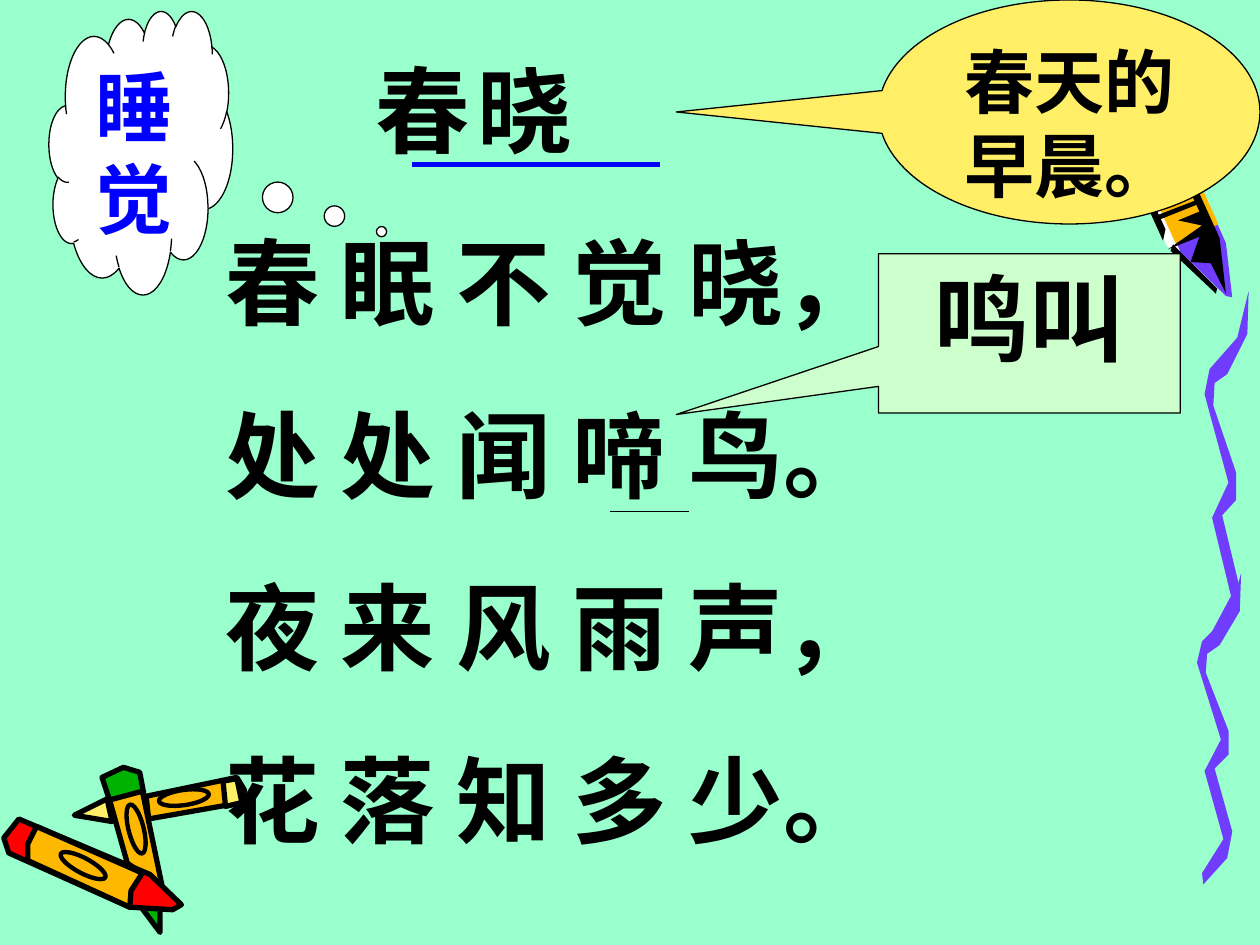
"""Builds a slide of the poem 春晓 with word callouts and crayons."""
from lxml import etree
from pptx import Presentation
from pptx.dml.color import RGBColor
from pptx.enum.shapes import MSO_CONNECTOR, MSO_SHAPE
from pptx.enum.text import MSO_ANCHOR, PP_ALIGN
from pptx.oxml.ns import qn
from pptx.util import Pt

LEFT, CENTER = PP_ALIGN.LEFT, PP_ALIGN.CENTER
TOP = MSO_ANCHOR.TOP
STRAIGHT = MSO_CONNECTOR.STRAIGHT
OVAL = MSO_SHAPE.OVAL
SPEECH = MSO_SHAPE.OVAL_CALLOUT
CLOUD = MSO_SHAPE.CLOUD_CALLOUT
RECT = MSO_SHAPE.RECTANGULAR_CALLOUT

MINT = RGBColor(0x99, 0xFF, 0xCC)
PALE = RGBColor(0xCC, 0xFF, 0xCC)
WHITE = RGBColor(0xFF, 0xFF, 0xFF)
SNOW = RGBColor(0xF8, 0xF8, 0xF8)
BLACK = RGBColor(0, 0, 0)
BLUE = RGBColor(0, 0, 0xFF)
RED = RGBColor(0xFF, 0, 0)
GREEN = RGBColor(0, 0xB2, 0)
GOLD = RGBColor(0xFF, 0xB8, 0)
LEMON = RGBColor(0xFF, 0xEF, 0x66)
PURPLE = RGBColor(0x70, 0x3D, 0xFF)

UNIT = Pt(0.72)


def write(para, text, size=54, color=BLACK, align=LEFT, before=0):
    para.text = text
    para.alignment = align
    para.space_before = Pt(before)
    font = para.font
    font.name, font.size, font.bold = "Arial", Pt(size), True
    font.color.rgb = color


def paint(shape, fill, line=None, width=0.75):
    shape.shadow.inherit = False
    shape.fill.solid()
    shape.fill.fore_color.rgb = fill
    if line is None:
        shape.line.fill.background()
    else:
        shape.line.color.rgb = line
        shape.line.width = Pt(width)


deck = Presentation()
deck.slide_width, deck.slide_height = Pt(720), Pt(540)
slide = deck.slides.add_slide(deck.slide_layouts[6])
fill = slide.background.fill
fill.solid()
fill.fore_color.rgb = MINT
shapes = slide.shapes

wave = [(960, 505), (977, 473), (962, 411), (975, 383), (956, 313),
        (960, 293), (982, 268), (991, 231), (990, 265), (974, 297),
        (964, 304), (963, 322), (981, 375), (981, 397), (970, 409),
        (984, 467), (980, 491), (961, 515)]
lower = [(x - 6, round(455 + (y - 231) * 0.87)) for x, y in wave]

parts = [
    (WHITE, None, [(857, 8), (844, 16), (926, 195), (969, 229), (964, 189)]),
    (PURPLE, None, [(855, 19), (937, 200), (973, 235), (978, 236),
                    (973, 193), (892, 13)]),
    (GOLD, None, [(933, 193), (967, 178), (898, 25), (860, 33)]),
    (GOLD, BLACK, [(116, 632), (118, 650), (192, 637), (194, 627),
                   (188, 617)]),
    (LEMON, BLACK, [(177, 620), (188, 618), (192, 637), (179, 640)]),
    (LEMON, BLACK, [(85, 634), (59, 647), (89, 652)]),
    (GREEN, BLACK, [(112, 720), (127, 740), (127, 719)]),
    (GREEN, BLACK, [(81, 617), (98, 609), (111, 613), (114, 629), (87, 635)]),
    (GOLD, BLACK, [(87, 635), (113, 628), (129, 705), (101, 685)]),
    (RED, BLACK, [(15, 650), (119, 694), (144, 718), (137, 722), (103, 720),
                  (7, 677), (3, 665)]),
    (GOLD, BLACK, [(22, 683), (103, 720), (104, 707), (113, 693),
                   (29, 656), (22, 670)]),
    (PURPLE, None, lower),
    (PURPLE, None, wave),
    (BLACK, None, [(929, 199), (965, 233), (966, 229), (931, 194)]),
    (BLACK, None, [(850, 30), (923, 191), (925, 182), (855, 30)]),
    (BLACK, None, [(927, 198), (954, 179), (935, 175), (952, 168), (880, 11),
                   (885, 6), (968, 189), (973, 233), (961, 209), (945, 208),
                   (952, 188)]),
    (BLACK, None, [(921, 174), (951, 162), (949, 159), (918, 171)]),
]
for color, edge, dots in parts:
    path = shapes.build_freeform(*dots[0], scale=UNIT)
    path.add_line_segments(dots[1:], close=True)
    paint(path.convert_to_shape(), color, edge, 3)

for x, y, turn in ((66, 687, 28), (108, 658, 76), (146, 633, -8)):
    ring = shapes.add_shape(OVAL, UNIT * (x - 20), UNIT * (y - 6),
                            UNIT * 40, UNIT * 12)
    ring.rotation = turn
    paint(ring, GOLD, BLACK, 2.5)

poem = shapes.add_textbox(Pt(121.5), Pt(26), Pt(403), Pt(466.5)).text_frame
poem.word_wrap = True
title = poem.paragraphs[0]
props = title._p.get_or_add_pPr()
props.set("marL", "0")
props.set("indent", str(Pt(86)))
tabs = etree.SubElement(props, qn("a:tabLst"))
etree.SubElement(tabs, qn("a:tab"), pos=str(Pt(164)), algn="l")
write(title, "春\t晓")
for verse in ("春 眠 不 觉 晓，", "处 处 闻 啼 鸟。",
              "夜 来 风 雨 声，", "花 落 知 多 少。"):
    write(poem.add_paragraph(), verse, before=33.8)

notes = [
    (SPEECH, (502, 0, 218, 128), (-1.03, 0), LEMON, "春天的早晨。", 40, BLACK),
    (CLOUD, (28, 6, 105, 162), (1.31, 0.28), WHITE, "睡觉", 44, BLUE),
    (RECT, (502, 145, 172.5, 91), (-1.17, 0.51), PALE, "鸣叫", 54, BLACK),
]
for kind, box, tip, back, text, size, color in notes:
    note = shapes.add_shape(kind, *map(Pt, box))
    note.adjustments[0], note.adjustments[1] = tip
    paint(note, back, BLACK)
    frame = note.text_frame
    frame.word_wrap = True
    frame.vertical_anchor = TOP
    write(frame.paragraphs[0], text, size=size, color=color, align=CENTER)

for start, end, y, color, width in ((235.5, 377, 94, BLUE, 3),
                                    (348.5, 394, 292.5, BLACK, 0.75)):
    rule = shapes.add_connector(STRAIGHT, Pt(start), Pt(y), Pt(end), Pt(y))
    rule.line.color.rgb = color
    rule.line.width = Pt(width)
    etree.SubElement(rule._element.spPr, qn("a:effectLst"))

deck.save("out.pptx")
